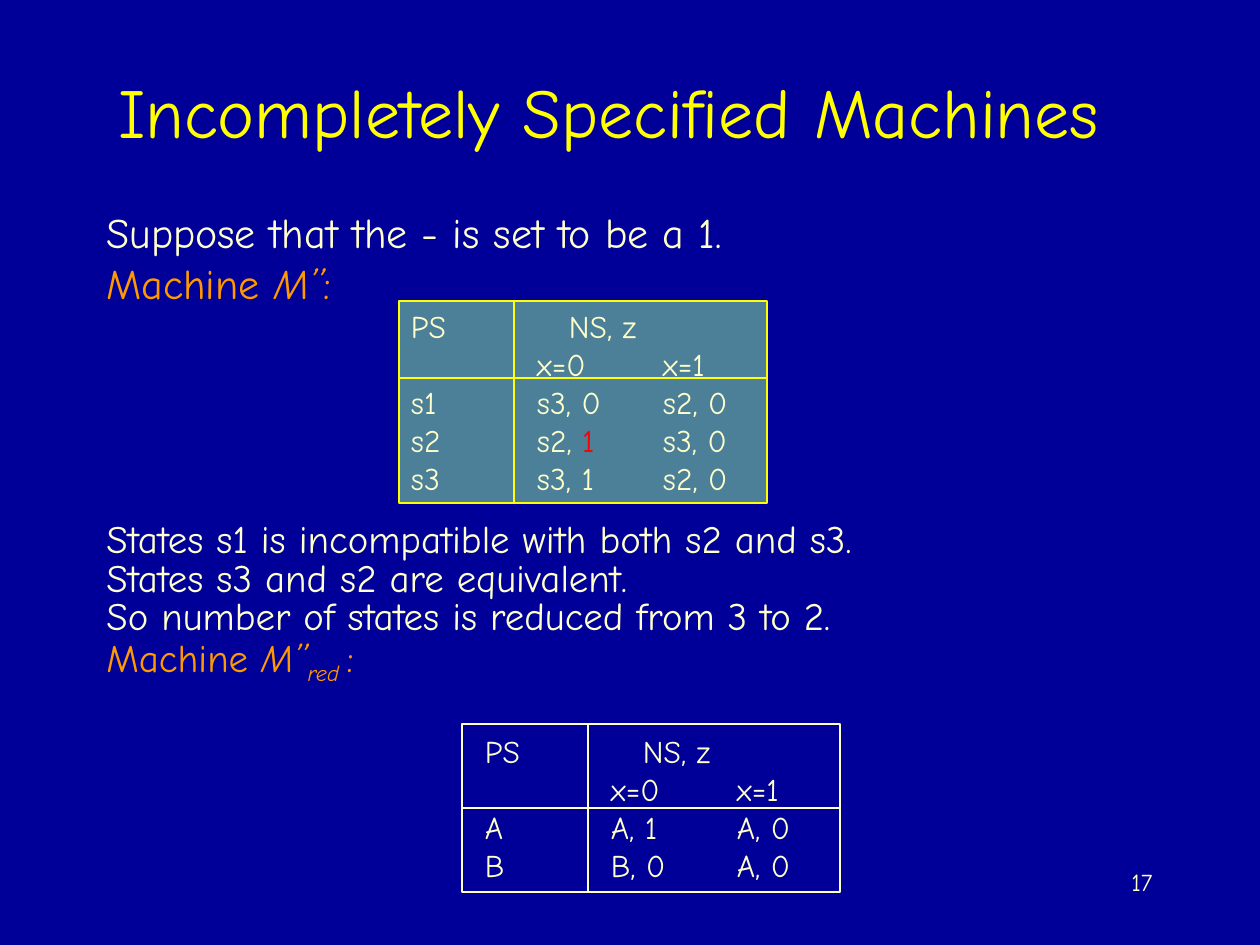
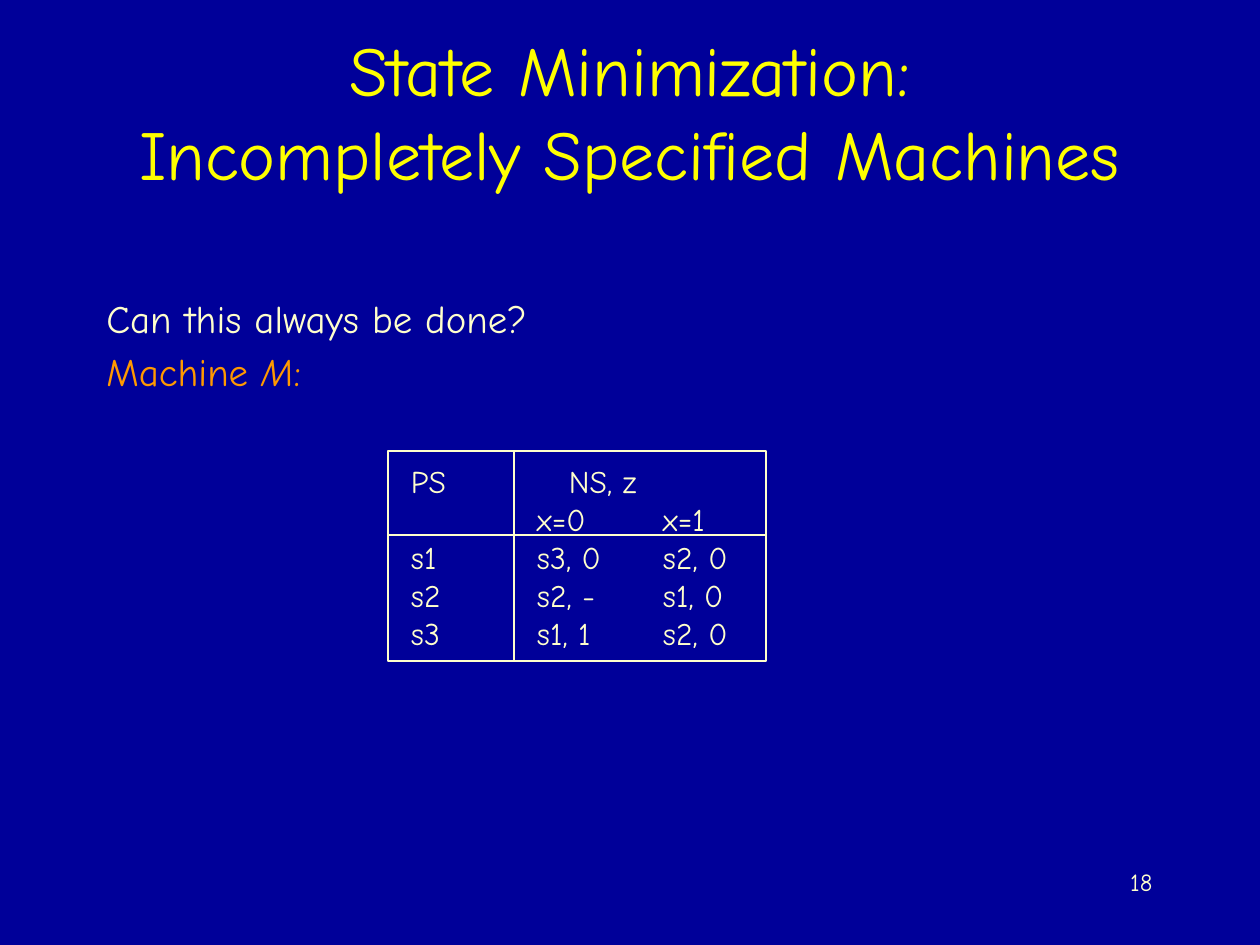
from lxml.etree import SubElement
from pptx import Presentation
from pptx.dml.color import RGBColor
from pptx.enum.shapes import MSO_CONNECTOR as Connector, MSO_SHAPE as Shape
from pptx.enum.text import MSO_ANCHOR as Anchor, MSO_AUTO_SIZE as AutoSize, PP_ALIGN as Align
from pptx.oxml.ns import qn
from pptx.util import Emu, Pt

SCALE = 914400 / 126
FONT = "Comic Neue"
NAVY, CREAM, YELLOW = "000099", "FFFFCC", "FFFF00"
ORANGE, RED, GREEN = "FF9900", "FF0000", "99FF99"
LINE_H, COL_W, INDENT, HEAD_INDENT = 38, 126, 23, 55


def px(n):
    """Turn px into EMU."""
    return Emu(round(n * SCALE))


def rgb(value):
    """Turn a hex string into a colour."""
    return RGBColor.from_string(value)


def style(r, size, color=CREAM, italic=False, baseline=0):
    """Format one run."""
    r.font.name, r.font.size = FONT, Pt(size)
    r.font.bold, r.font.italic = False, italic
    r.font.color.rgb = rgb(color)
    if baseline:
        r._r.get_or_add_rPr().set("baseline", str(baseline * 1000))


def add_runs(p, content, size):
    """Fill a paragraph from a string or a list of (text, formats) pairs."""
    runs = [(content, {})] if isinstance(content, str) else content
    for text, formats in runs:
        r = p.add_run()
        r.text = text
        style(r, size, **formats)


def machine_label(name, subscript=""):
    """Return the runs of an orange machine label."""
    runs = [("Machine ", {"color": ORANGE}), (name, {"color": ORANGE, "italic": True})]
    if subscript:
        runs.append((subscript, {"color": ORANGE, "italic": True, "baseline": -25}))
    return runs + [(":", {"color": ORANGE})]


def add_text(s, box, lines, size, spacing=1.0, before=0, align=Align.LEFT):
    """Add a text box with one paragraph per line."""
    tf = s.shapes.add_textbox(*map(px, box)).text_frame
    tf.word_wrap = True
    for i, line in enumerate(lines):
        p = tf.add_paragraph() if i else tf.paragraphs[0]
        p.alignment, p.line_spacing = align, spacing
        if i:
            p.space_before = Pt(before)
        add_runs(p, line, size)


def add_slide(prs, title, left, width, number):
    """Add a slide with its title and number."""
    s = prs.slides.add_slide(prs.slide_layouts[5])
    sp = s.shapes.title
    sp.left, sp.top, sp.width, sp.height = map(px, (left, 32, width, 158))
    tf = sp.text_frame
    tf.text = title
    tf.auto_size, tf.vertical_anchor = AutoSize.NONE, Anchor.MIDDLE
    p = tf.paragraphs[0]
    p.alignment = Align.CENTER
    for r in p.runs:
        style(r, 40, YELLOW)
    add_text(s, (903, 861, 262, 63), [str(number)], 14, align=Align.RIGHT)
    return s


def add_frame(s, box, color, fill):
    """Add the outline of a state table, with a half-clear fill if given."""
    sp = s.shapes.add_shape(Shape.RECTANGLE, *map(px, box))
    sp.shadow.inherit = False
    sp.line.color.rgb, sp.line.width = rgb(color), Pt(0.75)
    if fill:
        sp.fill.solid()
        sp.fill.fore_color.rgb = rgb(fill)
        clr = sp._element.spPr.find(qn("a:solidFill")).find(qn("a:srgbClr"))
        SubElement(clr, qn("a:alpha"), val="50000")
    else:
        sp.fill.background()
    return sp


def add_rule(s, x1, y1, x2, y2, color):
    """Add a thin straight line."""
    line = s.shapes.add_connector(Connector.STRAIGHT, *map(px, (x1, y1, x2, y2)))
    line.line.color.rgb, line.line.width = rgb(color), Pt(0.75)
    SubElement(line._element.spPr, qn("a:effectLst"))
    return line


def clear_cell(cell):
    """Remove the borders and fill of a cell."""
    tc_pr = cell._tc.get_or_add_tcPr()
    for side in "LRTB":
        SubElement(SubElement(tc_pr, qn(f"a:ln{side}")), qn("a:noFill"))
    cell.fill.background()


def add_states(s, left, top, first_width, rows):
    """Add the entries of a next-state table on an even grid."""
    widths = [first_width, COL_W, COL_W]
    table = s.shapes.add_table(
        len(rows), 3, px(left), px(top), px(sum(widths)), px(LINE_H * len(rows))).table
    table.first_row = table.horz_banding = False
    for column, width in zip(table.columns, widths):
        column.width = px(width)
    table.cell(0, 1).merge(table.cell(0, 2))
    for i, row in enumerate(rows):
        table.rows[i].height = px(LINE_H)
        for j, content in enumerate(row):
            cell = table.cell(i, j)
            indent = HEAD_INDENT if (i, j) == (0, 1) else INDENT - COL_W + widths[j]
            cell.margin_left = px(indent)
            cell.margin_top = cell.margin_right = cell.margin_bottom = 0
            cell.vertical_anchor = Anchor.TOP
            clear_cell(cell)
            p = cell.text_frame.paragraphs[0]
            if content:
                add_runs(p, content, 18)
            else:
                SubElement(p._p, qn("a:endParaRPr"), sz="1000")


def add_machine(s, box, first_width, head, text_top, states, color=CREAM, fill=None):
    """Add a framed next-state table with a two-row head."""
    left, top, width, height = box
    frame = add_frame(s, box, color, fill)
    split, middle = left + first_width, top + head
    add_rule(s, split, top, split, top + height, color)
    rule = add_rule(s, left, middle, left + width, middle, color)
    if head * 2 == height:
        rule.begin_connect(frame, 1)
        rule.end_connect(frame, 3)
    rows = [["PS", "NS, z", ""], ["", "x=0", "x=1"], *states]
    add_states(s, left, text_top, first_width, rows)


def build_reduced_machine(prs):
    """Build the slide that sets the open output to 1."""
    s = add_slide(prs, "Incompletely Specified Machines", 52, 1113, 17)
    add_text(s, (94, 210, 1071, 105),
             ["Suppose that the - is set to be a 1.", machine_label("M’’")], 24, 0.8, 6)
    add_text(s, (94, 525, 1071, 179), [
        "States s1 is incompatible with both s2 and s3.",
        "States s3 and s2 are equivalent.",
        "So number of states is reduced from 3 to 2.",
        machine_label("M’’", "red "),
    ], 22.2, 0.6, 6)
    add_machine(s, (399, 301, 368, 202), 115, 77, 310, [
        ["s1", "s3, 0", "s2, 0"],
        ["s2", [("s2, ", {}), ("1", {"color": RED})], "s3, 0"],
        ["s3", "s3, 1", "s2, 0"],
    ], YELLOW, GREEN)
    add_machine(s, (462, 724, 378, 168), COL_W, 84, 735,
                [["A", "A, 1", "A, 0"], ["B", "B, 0", "A, 0"]])


def build_open_question(prs):
    """Build the slide that asks about the general case."""
    s = add_slide(prs, "State Minimization:\vIncompletely Specified Machines", 94, 1071, 18)
    add_text(s, (94, 294, 1071, 116),
             ["Can this always be done?", machine_label("M")], 22.2, 0.9, 6)
    add_machine(s, (388, 451, 378, 210), COL_W, 84, 465, [
        ["s1", "s3, 0", "s2, 0"],
        ["s2", "s2, -", "s1, 0"],
        ["s3", "s1, 1", "s2, 0"],
    ])


def main():
    """Build and save the deck."""
    prs = Presentation()
    prs.slide_width, prs.slide_height = px(1260), px(945)
    background = prs.slide_master.background.fill
    background.solid()
    background.fore_color.rgb = rgb(NAVY)
    build_reduced_machine(prs)
    build_open_question(prs)
    prs.save("out.pptx")


if __name__ == "__main__":
    main()
